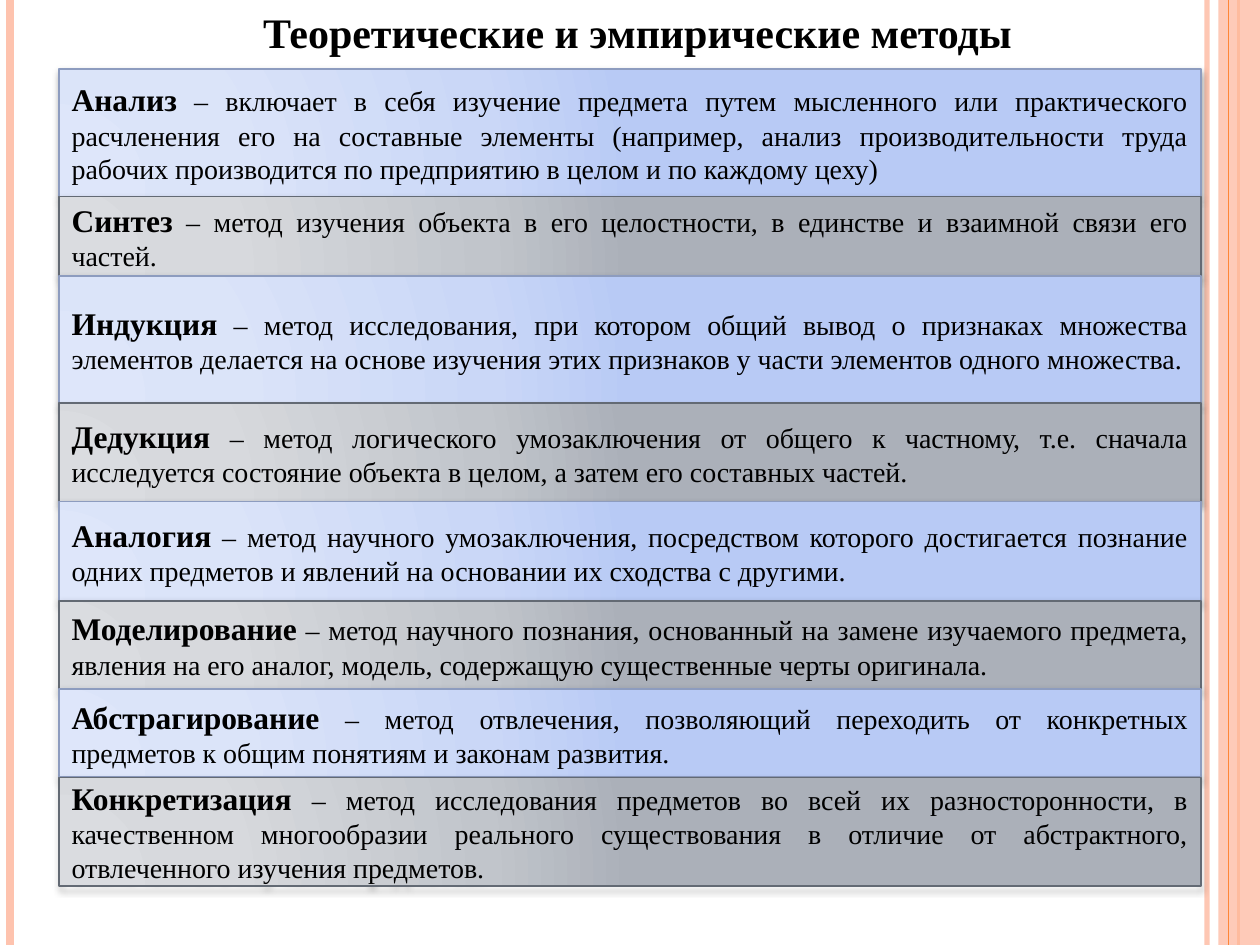
"""Build a slide listing theoretical and empirical research methods."""
from dataclasses import dataclass

from lxml import etree
from pptx import Presentation
from pptx import util as u
from pptx.dml.color import RGBColor
from pptx.enum import shapes, text
from pptx.oxml import ns, parse_xml


@dataclass(frozen=True)
class Theme:
    font: str = "Times New Roman"
    ink: str = "000000"
    peach: str = "FEC3AE"
    orange: str = "FE8637"
    blue: tuple = ("8D9CBF", ("DEE6FA", "DBE4F9", "CAD7F7", "B8CAF5"))
    gray: tuple = ("636A74", ("DADCE0", "D7D9DD", "C1C5CB", "ABB0B9"))
    stops: tuple = (0, 30, 75, 100)
    title_size: int = 24
    term_size: int = 18
    body_size: int = 16


class SlideBuilder:
    def __init__(self, slide, theme):
        self.slide = slide
        self.theme = theme

    def apply(self, target, values):
        for name, value in values.items():
            setattr(target, name, value)

    def opacity(self, element, percent):
        color = next(element.iter(ns.qn("a:srgbClr")))
        etree.SubElement(color, ns.qn("a:alpha"), val=str(percent * 1000))

    def rule(self, x, color, width, opacity=100):
        line = self.slide.shapes.add_connector(
            shapes.MSO_CONNECTOR.STRAIGHT, u.Inches(x), 0, u.Inches(x), u.Inches(7.5))
        line.line.color.rgb = RGBColor.from_string(color)
        line.line.width = u.Pt(width)
        properties = line._element.spPr
        etree.SubElement(properties, ns.qn("a:effectLst"))
        if opacity < 100:
            self.opacity(properties, opacity)

    def rectangle(self, left, top, width, height):
        shape = self.slide.shapes.add_shape(
            shapes.MSO_SHAPE.RECTANGLE, *map(u.Inches, (left, top, width, height)))
        shape.shadow.inherit = False
        return shape

    def band(self, left, top, width, height, color, opacity):
        shape = self.rectangle(left, top, width, height)
        shape.fill.solid()
        shape.fill.fore_color.rgb = RGBColor.from_string(color)
        shape.line.fill.background()
        self.opacity(shape._element.spPr, opacity)

    def gradient(self, shape, colors):
        stops = "".join(
            f'<a:gs pos="{position * 1000}"><a:srgbClr val="{color}"/></a:gs>'
            for position, color in zip(self.theme.stops, colors))
        shape._element.spPr.insert(2, parse_xml(
            f'<a:gradFill rotWithShape="1" {ns.nsdecls("a")}><a:gsLst>{stops}</a:gsLst>'
            '<a:path path="circle"><a:fillToRect l="5000" t="100000" r="120000" b="10000"/>'
            '</a:path></a:gradFill>'))

    def soft_shadow(self, shape):
        effects = shape._element.spPr.find(ns.qn("a:effectLst"))
        effects.append(parse_xml(
            f'<a:outerShdw blurRad="{u.Pt(4)}" dist="{u.Pt(2)}" dir="5400000" '
            f'rotWithShape="0" {ns.nsdecls("a")}><a:srgbClr val="{self.theme.ink}">'
            '<a:alpha val="40000"/></a:srgbClr></a:outerShdw>'))

    def add_text(self, shape, runs, alignment, anchor):
        self.apply(shape.text_frame, {"word_wrap": True, "vertical_anchor": anchor})
        paragraph = shape.text_frame.paragraphs[0]
        paragraph.alignment = alignment
        for content, size, bold in runs:
            run = paragraph.add_run()
            run.text = content
            self.apply(run.font, {"name": self.theme.font, "size": u.Pt(size), "bold": bold})
            run.font.color.rgb = RGBColor.from_string(self.theme.ink)

    def title(self, left, top, width, height, content):
        box = self.slide.shapes.add_textbox(*map(u.Inches, (left, top, width, height)))
        self.add_text(box, [(content, self.theme.title_size, True)],
                      text.PP_ALIGN.CENTER, text.MSO_ANCHOR.BOTTOM)

    def method_row(self, top, height, palette, term, definition):
        outline, colors = palette
        shape = self.rectangle(0.47, top, 9.06, height)
        shape.line.color.rgb = RGBColor.from_string(outline)
        shape.line.width = u.Pt(1)
        self.gradient(shape, colors)
        self.soft_shadow(shape)
        self.apply(shape.text_frame, {"margin_top": 0, "margin_bottom": 0})
        runs = [(term, self.theme.term_size, True),
                (f" – {definition}", self.theme.body_size, False)]
        self.add_text(shape, runs, text.PP_ALIGN.JUSTIFY, text.MSO_ANCHOR.MIDDLE)


METHODS = [
    (1.01, "Анализ", "включает в себя изучение предмета путем мысленного или практического "
     "расчленения его на составные элементы (например, анализ производительности труда "
     "рабочих производится по предприятию в целом и по каждому цеху)"),
    (0.63, "Синтез", "метод изучения объекта в его целостности, в единстве и взаимной "
     "связи его частей."),
    (1.01, "Индукция", "метод исследования, при котором общий вывод о признаках множества "
     "элементов делается на основе изучения этих признаков у части элементов одного "
     "множества."),
    (0.78, "Дедукция", "метод логического умозаключения от общего к частному, т.е. сначала "
     "исследуется состояние объекта в целом, а затем его составных частей."),
    (0.79, "Аналогия", "метод научного умозаключения, посредством которого достигается "
     "познание одних предметов и явлений на основании их сходства с другими."),
    (0.7, "Моделирование", "метод научного познания, основанный на замене изучаемого "
     "предмета, явления на его аналог, модель, содержащую существенные черты оригинала."),
    (0.7, "Абстрагирование", "метод отвлечения, позволяющий переходить от конкретных "
     "предметов к общим понятиям и законам развития."),
    (0.86, "Конкретизация", "метод исследования предметов во всей их разносторонности, в "
     "качественном многообразии реального существования в отличие от абстрактного, "
     "отвлеченного изучения предметов."),
]


def main():
    presentation = Presentation()
    presentation.slide_width = u.Inches(10)
    presentation.slide_height = u.Inches(7.5)
    theme = Theme()
    slide = presentation.slides.add_slide(presentation.slide_layouts[6])
    builder = SlideBuilder(slide, theme)

    builder.rule(9.58, theme.peach, 3, 93)
    builder.rule(0.08, theme.peach, 4.5)
    builder.rule(9.83, theme.orange, 1.5)
    builder.band(9.67, 0, 0.33, 7.5, theme.peach, 87)
    builder.rule(9.75, theme.orange, 0.75)
    builder.title(0.62, 0.1, 8.88, 0.4, "Теоретические и эмпирические методы")

    top = 0.55
    for index, (height, term, definition) in enumerate(METHODS):
        palette = theme.gray if index % 2 else theme.blue
        builder.method_row(top, height, palette, term, definition)
        top += height

    presentation.save("out.pptx")


if __name__ == "__main__":
    main()
